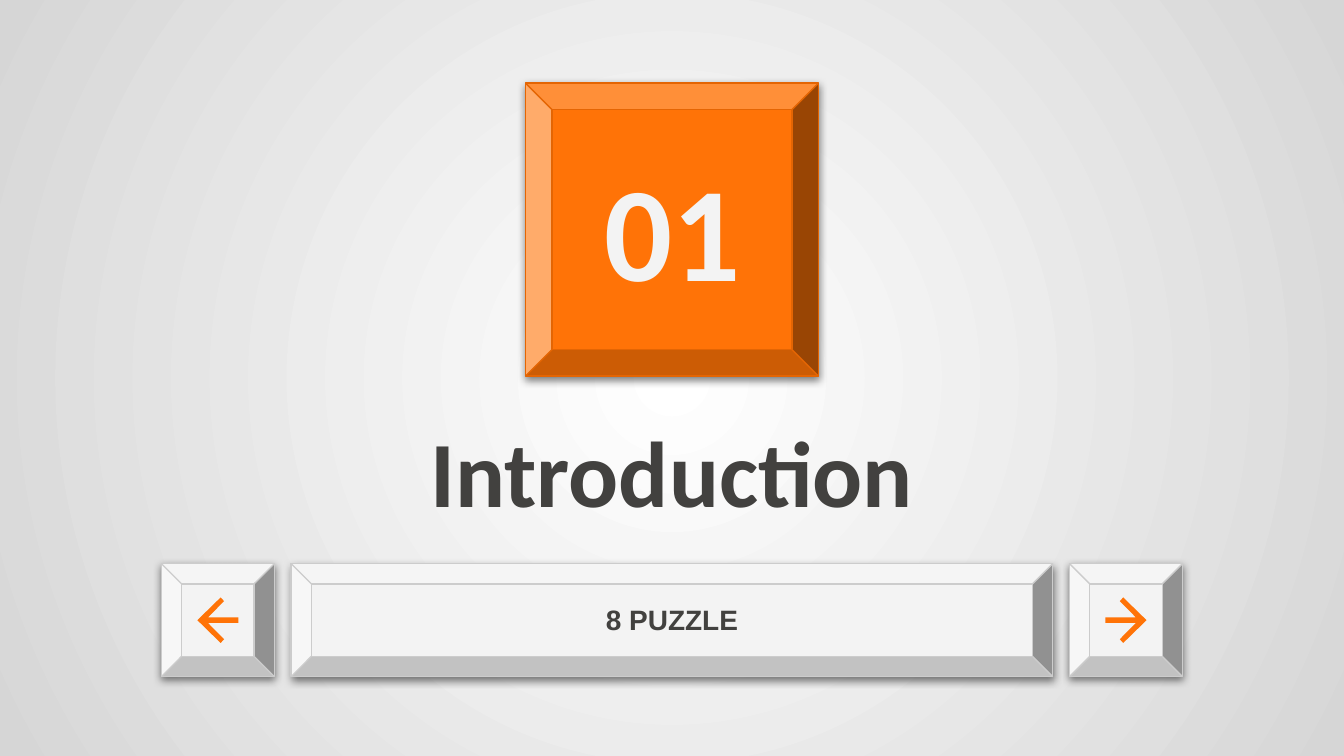
from dataclasses import dataclass

from lxml import etree
from pptx import Presentation
from pptx.dml.color import RGBColor
from pptx.enum.shapes import MSO_SHAPE
from pptx.enum.text import MSO_ANCHOR, PP_ALIGN
from pptx.oxml import parse_xml
from pptx.util import Pt

BEVEL = MSO_SHAPE.BEVEL
MIDDLE = MSO_ANCHOR.MIDDLE
CENTER = PP_ALIGN.CENTER
A = "http://schemas.openxmlformats.org/drawingml/2006/main"
P = "http://schemas.openxmlformats.org/presentationml/2006/main"


@dataclass(frozen=True)
class Theme:
    orange: str = "FF7307"
    orange_edge: str = "E46503"
    light: str = "F3F3F3"
    light_edge: str = "CCCCCC"
    ink: str = "42413F"
    glow: str = "FFFFFF"
    rim: str = "D6D6D6"
    heading: str = "Calibri"
    body: str = "Arial"
    number_size: int = 72
    title_size: int = 50
    label_size: int = 15


T = Theme()
ARROW = [(-1.5, -12.2), (-3.3, -10.2), (5.3, -1.5), (-11, -1.5), (-11, 1.5),
         (5.3, 1.5), (-3.3, 10.2), (-1.5, 12.2), (11, 0)]


def set_background(s):
    s.background.fill.solid()
    bg_pr = s.background._cSld.bg.bgPr
    bg_pr.replace(bg_pr[0], parse_xml(
        f'<a:gradFill xmlns:a="{A}" rotWithShape="1"><a:gsLst>'
        f'<a:gs pos="0"><a:srgbClr val="{T.glow}"/></a:gs>'
        f'<a:gs pos="100000"><a:srgbClr val="{T.rim}"/></a:gs></a:gsLst>'
        '<a:path path="circle"><a:fillToRect l="50000" t="50000" '
        'r="50000" b="50000"/></a:path></a:gradFill>'))


def add_tile(s, box, depth, fill, edge):
    sp = s.shapes.add_shape(BEVEL, *map(Pt, box))
    sp.adjustments[0] = depth
    sp.fill.solid()
    sp.fill.fore_color.rgb = RGBColor.from_string(fill)
    sp.line.color.rgb = RGBColor.from_string(edge)
    sp.line.width = Pt(0.75)
    sp.shadow.inherit = False
    effects = sp._element.spPr.find(f"{{{A}}}effectLst")
    shadow = etree.SubElement(effects, f"{{{A}}}outerShdw", blurRad=str(Pt(4.5)),
                              dist=str(Pt(1.5)), dir="5400000", algn="bl", rotWithShape="0")
    color = etree.SubElement(shadow, f"{{{A}}}srgbClr", val="000000")
    etree.SubElement(color, f"{{{A}}}alpha", val="50000")


def add_text(s, box, text, color, **font):
    tf = s.shapes.add_textbox(*map(Pt, box)).text_frame
    inset = Pt(7.2)
    frame = dict(word_wrap=True, vertical_anchor=MIDDLE, margin_left=inset,
                 margin_right=inset, margin_top=inset, margin_bottom=inset)
    for name, value in frame.items():
        setattr(tf, name, value)
    p = tf.paragraphs[0]
    p.alignment = CENTER
    r = p.add_run()
    r.text = text
    for name, value in font.items():
        setattr(r.font, name, value)
    r.font.color.rgb = RGBColor.from_string(color)


def add_number_block(s, box):
    x, y, w, h = box
    add_tile(s, box, 0.091, T.orange, T.orange_edge)
    add_text(s, (x + 16, y + 24.5, w - 31.5, h - 50.5), "01", T.light,
             name=T.heading, size=Pt(T.number_size), bold=True)


def add_title(s, box):
    add_text(s, box, "Introduction", T.ink,
             name=T.heading, size=Pt(T.title_size), bold=True)


def add_arrow_button(s, box, direction):
    x, y, w, h = box
    add_tile(s, box, 0.179, T.light, T.light_edge)
    points = [(Pt(x + w / 2 + direction * dx), Pt(y + h / 2 + dy)) for dx, dy in ARROW]
    builder = s.shapes.build_freeform(*points[0])
    builder.add_line_segments(points[1:], close=True)
    sp = builder.convert_to_shape()
    sp.fill.solid()
    sp.fill.fore_color.rgb = RGBColor.from_string(T.orange)
    sp.line.fill.background()
    sp.shadow.inherit = False


def add_navigation(s, box):
    x, y, w, h = box
    gap = 9
    bar = (x + h + gap, y, w - 2 * (h + gap), h)
    add_tile(s, bar, 0.179, T.light, T.light_edge)
    add_text(s, (bar[0], y + 12.5, bar[2], 34.5), "8 PUZZLE", T.ink,
             name=T.body, size=Pt(T.label_size), bold=True)
    add_arrow_button(s, (x, y, h, h), -1)
    add_arrow_button(s, (x + w - h, y, h, h), 1)


def main():
    prs = Presentation()
    prs.slide_width, prs.slide_height = Pt(720), Pt(405)
    s = prs.slides.add_slide(prs.slide_layouts[6])
    set_background(s)
    add_number_block(s, (281.5, 44.5, 157, 157))
    add_title(s, (185.5, 204.5, 349, 94.5))
    add_navigation(s, (86.5, 302, 547, 60.5))
    prs.save("out.pptx")


if __name__ == "__main__":
    main()
